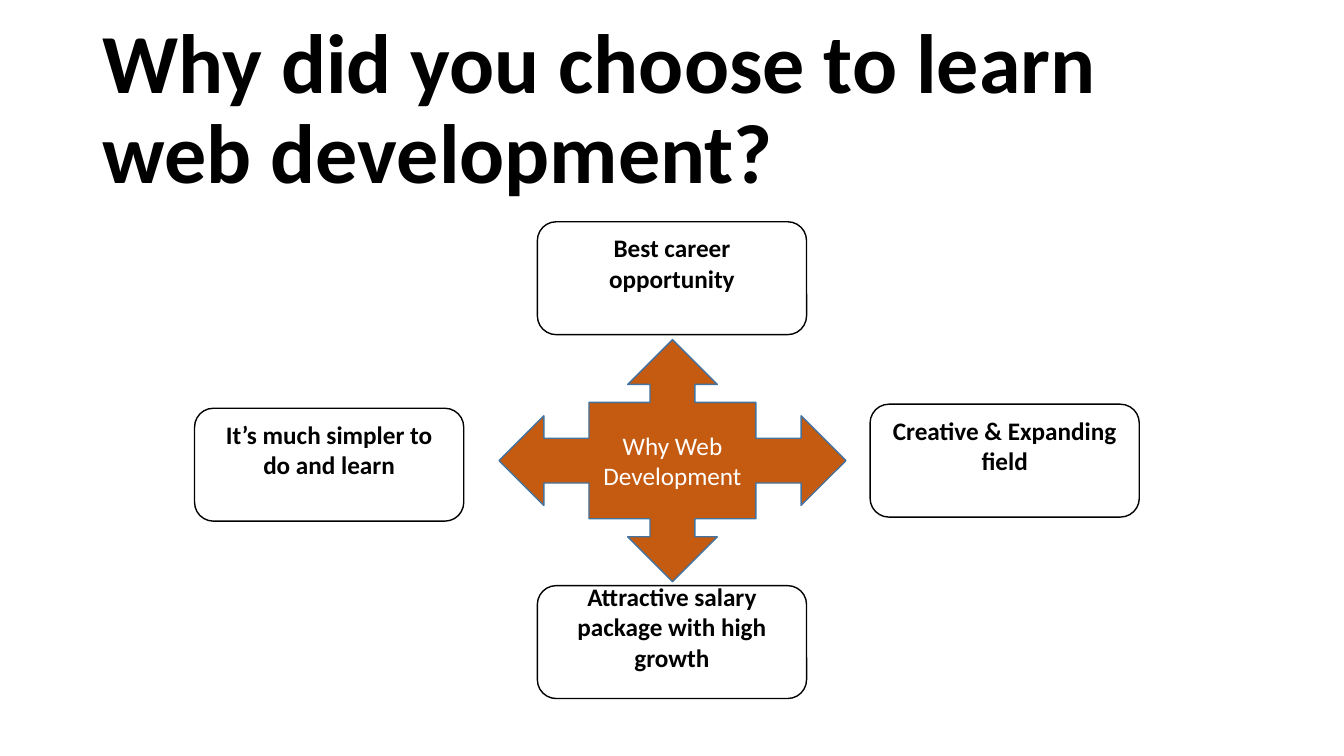
from dataclasses import dataclass

from pptx import Presentation
from pptx import util as u
from pptx.dml.color import RGBColor
from pptx.enum import shapes, text

PX = 9144
FONT = "Calibri"
BLACK, WHITE, ORANGE, BLUE = "000000", "FFFFFF", "C55A11", "43739E"
REASON_WIDTH, REASON_HEIGHT = 267, 112
INSET, REASON_INSET, TITLE_INSET = 5, 35, 95


@dataclass(frozen=True)
class Reason:
    """A reason and the top left corner of its box, in px."""

    wording: str
    left: int
    top: int


REASONS = [
    Reason("It’s much simpler to do and learn", 193, 405),
    Reason("Attractive salary package with high growth", 533, 581),
    Reason("Creative & Expanding field", 863, 401),
    Reason("Best career opportunity", 533, 220),
]


def px(length: int) -> u.Emu:
    """Turn px into EMU."""
    return u.Emu(length * PX)


def colour(value: str) -> RGBColor:
    """Turn a hex string into a colour."""
    return RGBColor.from_string(value)


def write(shape, wording: str, size: int, ink: str, bold: bool, bottom: int):
    """Write one wrapped, vertically centred paragraph and return it."""
    frame = shape.text_frame
    frame.word_wrap = True
    frame.vertical_anchor = text.MSO_ANCHOR.MIDDLE
    frame.margin_bottom = px(bottom)
    paragraph = frame.paragraphs[0]
    paragraph.text = wording
    paragraph.font.name = FONT
    paragraph.font.size = u.Pt(size)
    paragraph.font.bold = bold
    paragraph.font.color.rgb = colour(ink)
    return paragraph


def add_title(slide) -> None:
    """Add the question at the top."""
    title = slide.shapes.add_textbox(px(92), px(63), px(1150), px(185))
    question = "Why did you choose to learn web development?"
    paragraph = write(title, question, 60, BLACK, True, TITLE_INSET)
    paragraph.line_spacing = 0.9


def add_box(slide, preset, box: tuple[int, int, int, int], fill: str, line: str):
    """Add a flat filled shape with a thin outline."""
    shape = slide.shapes.add_shape(preset, *map(px, box))
    shape.shadow.inherit = False
    shape.fill.solid()
    shape.fill.fore_color.rgb = colour(fill)
    shape.line.color.rgb = colour(line)
    shape.line.width = u.Pt(1)
    return shape


def add_hub(slide) -> None:
    """Add the four-way arrow in the middle."""
    preset = shapes.MSO_SHAPE.QUAD_ARROW_CALLOUT
    hub = add_box(slide, preset, (495, 337, 344, 240), ORANGE, BLUE)
    paragraph = write(hub, "Why Web Development", 18, WHITE, False, INSET)
    paragraph.alignment = text.PP_ALIGN.CENTER


def add_reason(slide, reason: Reason) -> None:
    """Add one rounded box with a reason."""
    box = (reason.left, reason.top, REASON_WIDTH, REASON_HEIGHT)
    shape = add_box(slide, shapes.MSO_SHAPE.ROUNDED_RECTANGLE, box, WHITE, BLACK)
    paragraph = write(shape, reason.wording, 18, BLACK, True, REASON_INSET)
    paragraph.alignment = text.PP_ALIGN.CENTER


def main() -> None:
    """Build and save the slide."""
    deck = Presentation()
    deck.slide_width, deck.slide_height = px(1333), px(750)
    slide = deck.slides.add_slide(deck.slide_layouts[6])
    add_title(slide)
    add_hub(slide)
    for reason in REASONS:
        add_reason(slide, reason)
    deck.save("out.pptx")


if __name__ == "__main__":
    main()
